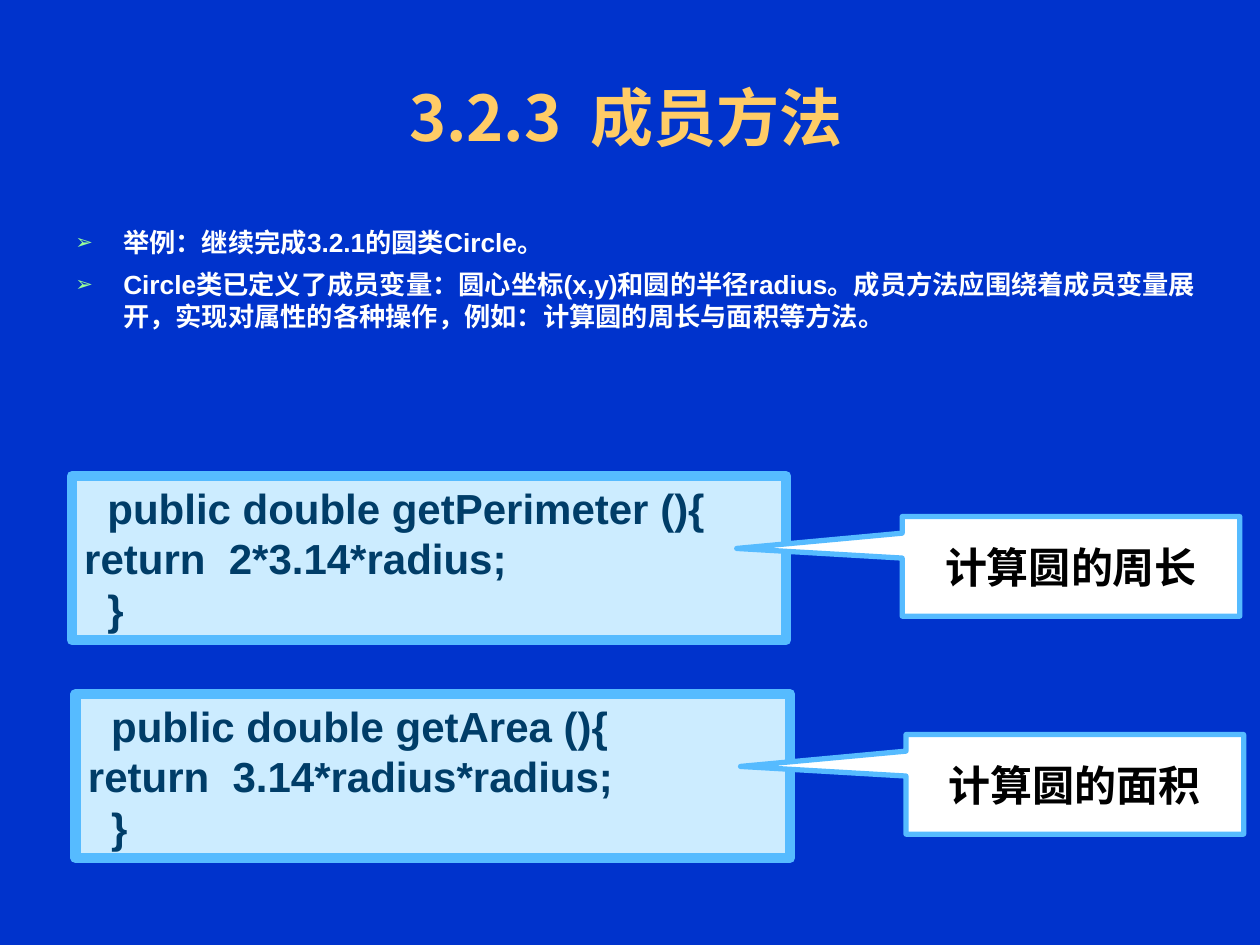
from typing import NamedTuple

from lxml import etree
from pptx import Presentation
from pptx import util as u
from pptx.dml.color import RGBColor
from pptx.enum import shapes, text
from pptx.oxml import ns

CJK = "Noto Sans CJK SC"
SKY = "56BBFF"


class Method(NamedTuple):
    code: list[str]
    note: str


METHODS = [
    Method(["  public double getPerimeter (){", "return  2*3.14*radius;", "  }"],
           "计算圆的周长"),
    Method(["  public double getArea (){", "return  3.14*radius*radius;", "  }"],
           "计算圆的面积"),
]
POINTS = [
    "举例：继续完成3.2.1的圆类Circle。",
    "Circle类已定义了成员变量：圆心坐标(x,y)和圆的半径radius。"
    "成员方法应围绕着成员变量展开，实现对属性的各种操作，例如：计算圆的周长与面积等方法。",
]


def rgb(color: str) -> RGBColor:
    return RGBColor.from_string(color)


def tag(parent, name: str, **attrs: str):
    return etree.SubElement(parent, ns.qn(name), attrs)


def bullet(par) -> None:
    props = par._p.get_or_add_pPr()
    props.set("marL", str(u.Inches(0.38)))
    props.set("indent", str(u.Inches(-0.38)))
    tag(tag(props, "a:buClr"), "a:srgbClr", val="99FF99")
    tag(props, "a:buSzPct", val="80000")
    tag(props, "a:buFont", typeface="Arial")
    tag(props, "a:buChar", char="➢")


def write(shape, lines: list[str], size: int, color: str, face: str = "Arial",
          align=text.PP_ALIGN.LEFT, anchor=text.MSO_ANCHOR.TOP,
          marks: bool = False, gap: int = 0) -> None:
    frame = shape.text_frame
    frame.word_wrap = True
    frame.vertical_anchor = anchor
    look = {"size": u.Pt(size), "bold": True, "name": face}
    for i, line in enumerate(lines):
        par = frame.add_paragraph() if i else frame.paragraphs[0]
        par.alignment = align
        if i and gap:
            par.space_before = u.Pt(gap)
        if marks:
            bullet(par)
        run = par.add_run()
        run.text = line
        for key, value in look.items():
            setattr(run.font, key, value)
        run.font.color.rgb = rgb(color)
        tag(run.font._element, "a:ea", typeface=CJK)


def label(slide, x: float, y: float, w: float, h: float):
    return slide.shapes.add_textbox(*map(u.Inches, (x, y, w, h)))


def panel(slide, kind, x: float, y: float, w: float, h: float,
          fill: str, width: int):
    shape = slide.shapes.add_shape(kind, *map(u.Inches, (x, y, w, h)))
    shape.shadow.inherit = False
    shape.fill.solid()
    shape.fill.fore_color.rgb = rgb(fill)
    shape.line.color.rgb = rgb(SKY)
    shape.line.width = u.Pt(width)
    return shape


def draw(slide, method: Method, x: float, y: float) -> None:
    """Draw a code panel and the callout that points into it."""
    kinds = shapes.MSO_SHAPE
    code = panel(slide, kinds.RECTANGLE, x, y, 5.67, 1.3, "CCECFF", 6)
    write(code, method.code, 24, "003D68")
    note = panel(slide, kinds.RECTANGULAR_CALLOUT, x + 6.59, y + 0.32,
                 2.68, 0.79, "FFFFFF", 3)
    note.adjustments[0] = -0.99
    note.adjustments[1] = -0.18
    write(note, [method.note], 24, "000000",
          align=text.PP_ALIGN.CENTER, anchor=text.MSO_ANCHOR.MIDDLE)


def main() -> None:
    deck = Presentation()
    deck.slide_width, deck.slide_height = u.Inches(10), u.Inches(7.5)
    slide = deck.slides.add_slide(deck.slide_layouts[6])
    slide.background.fill.solid()
    slide.background.fill.fore_color.rgb = rgb("0033CC")

    write(label(slide, 0.43, 0.3, 9.07, 1.25), ["3.2.3  成员方法"], 36, "FFCC66",
          CJK, text.PP_ALIGN.CENTER, text.MSO_ANCHOR.MIDDLE)
    write(label(slide, 0.5, 1.75, 9.15, 0.98), POINTS, 15, "FFFFFF",
          marks=True, gap=6)
    for i, method in enumerate(METHODS):
        draw(slide, method, 0.57 + 0.03 * i, 3.78 + 1.73 * i)
    deck.save("out.pptx")


if __name__ == "__main__":
    main()
